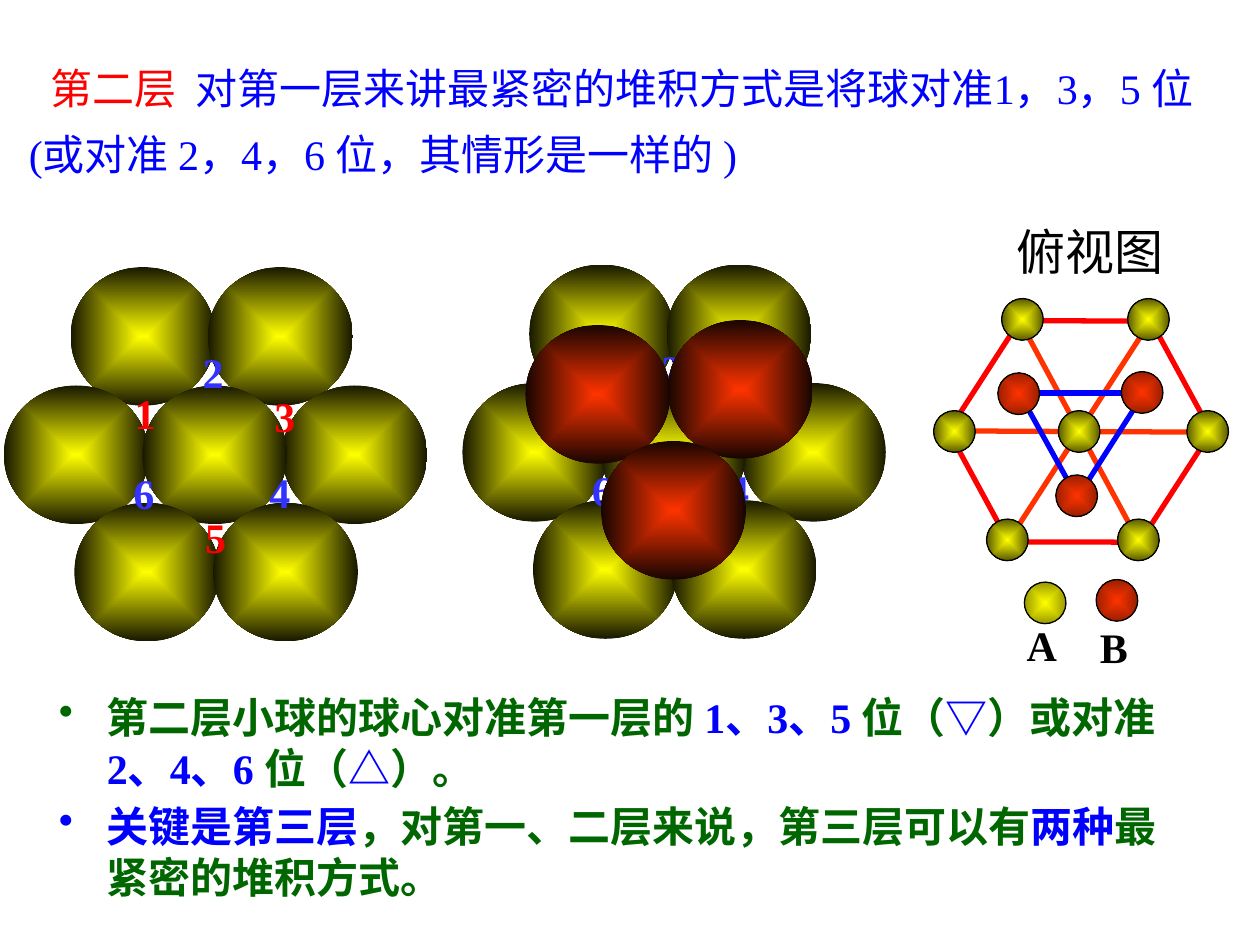
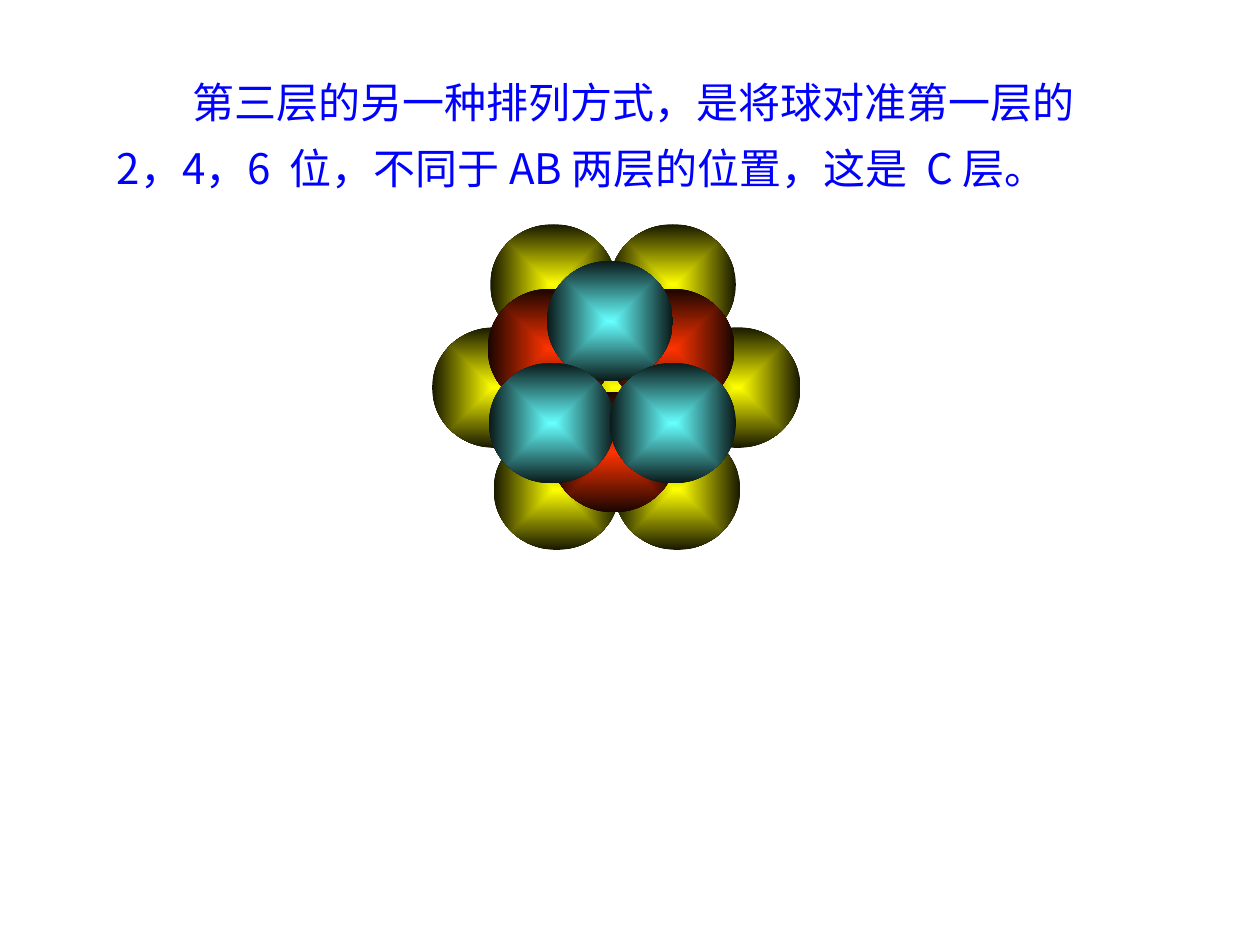
import pptx
import pptx.dml.color
import pptx.enum.shapes
import pptx.enum.text
import pptx.util
from lxml import etree
from pptx.oxml.ns import qn
from pptx.util import Inches

SERIF = "Times New Roman"
SANS = "Noto Sans CJK SC"
RED, BLUE, GREEN, BLACK = "FF0000", "0000FF", "006600", "000000"
DIGIT_BLUE, ORANGE = "3333FF", "FF3300"
LAYER_A = ("FFFF00", "181800")
LAYER_B = (ORANGE, "180500")
LAYER_C = ("66FFFF", "0A1818")
SMALL_A = ("FFFF00", "202000")
KEY_A = ("FFFF00", "767600")
SMALL_B = (ORANGE, "761800")
TILT = 61.5

SPHERE_SIZE = (1.15, 1.1)
SPHERE_OFFSETS = [(0.53, 0), (1.62, 0), (0, 0.94), (2.21, 0.94), (1.1, 0.94),
                  (0.56, 1.87), (1.66, 1.87)]
HOLLOWS = {"1": (0.94, 0.91), "2": (1.48, 0.58), "3": (2.05, 0.93),
           "4": (2.01, 1.53), "5": (1.5, 1.89), "6": (0.93, 1.54)}


def color(value):
    return pptx.dml.color.RGBColor.from_string(value)


class Deck:
    def __init__(self):
        self.presentation = pptx.Presentation()
        self.presentation.slide_width = Inches(10)
        self.presentation.slide_height = Inches(7.5)
        self.slide = None

    def new_slide(self):
        self.slide = self.presentation.slides.add_slide(self.presentation.slide_layouts[6])

    def text(self, left, top, width, height, paragraphs, size=24, font=SERIF, bold=False,
             align=None, wrap=True, spacing=None, bullet=False, first_indent=0):
        box = self.slide.shapes.add_textbox(Inches(left), Inches(top), Inches(width), Inches(height))
        frame = box.text_frame
        frame.word_wrap = wrap
        for index, runs in enumerate(paragraphs):
            paragraph = frame.add_paragraph() if index else frame.paragraphs[0]
            paragraph.alignment = align if index == 0 else None
            paragraph.line_spacing = spacing
            properties = paragraph._p.get_or_add_pPr()
            if bullet:
                properties.set("marL", str(Inches(0.38)))
                properties.set("indent", str(-Inches(0.38)))
                etree.SubElement(properties, qn("a:buChar")).set("char", "•")
                if index:
                    paragraph.space_before = pptx.util.Pt(4.8)
            elif first_indent:
                properties.set("indent", str(Inches(first_indent)))
            for content, run_color in runs:
                run = paragraph.add_run()
                run.text = content
                run.font.size = pptx.util.Pt(size)
                run.font.bold = bold
                run.font.name = font
                run.font.color.rgb = color(run_color)
                etree.SubElement(run._r.get_or_add_rPr(), qn("a:ea")).set("typeface", SANS)
        return box

    def ball(self, left, top, width, height, shades):
        shape = self.slide.shapes.add_shape(
            pptx.enum.shapes.MSO_SHAPE.OVAL, Inches(left), Inches(top), Inches(width), Inches(height))
        shape.shadow.inherit = False
        shape.fill.gradient()
        for stop, shade in zip(shape.fill.gradient_stops, shades):
            stop.color.rgb = color(shade)
        gradient = shape._element.spPr.find(qn("a:gradFill"))
        gradient.remove(gradient.find(qn("a:lin")))
        focus = etree.SubElement(gradient, qn("a:path"))
        focus.set("path", "shape")
        center = etree.SubElement(focus, qn("a:fillToRect"))
        for side in "ltrb":
            center.set(side, "50000")
        shape.line.fill.background()
        return shape

    def small_ball(self, left, top, shades):
        shape = self.ball(left, top, 0.33, 0.33, shades)
        shape.rotation = TILT
        shape.line.color.rgb = color(BLACK)
        shape.line.width = pptx.util.Pt(0.75)

    def hexagon(self, left, top, width, height):
        shape = self.slide.shapes.add_shape(
            pptx.enum.shapes.MSO_SHAPE.HEXAGON, Inches(left), Inches(top), Inches(width), Inches(height))
        shape.shadow.inherit = False
        shape.adjustments[0] = 0.273
        shape.rotation = TILT
        shape.fill.background()
        shape.line.color.rgb = color(RED)
        shape.line.width = pptx.util.Pt(3)

    def line(self, start, end, line_color):
        connector = self.slide.shapes.add_connector(
            pptx.enum.shapes.MSO_CONNECTOR.STRAIGHT, *[Inches(value) for value in start + end])
        connector.line.color.rgb = color(line_color)
        connector.line.width = pptx.util.Pt(3)
        etree.SubElement(connector._element.spPr, qn("a:effectLst"))

    def first_layer(self, left, top, scale=1, digits=""):
        width, height = [scale * side for side in SPHERE_SIZE]
        for across, down in SPHERE_OFFSETS:
            self.ball(left + scale * across, top + scale * down, width, height, LAYER_A)
        for digit in digits:
            across, down = HOLLOWS[digit]
            self.text(left + across, top + down, 0.37, 0.5,
                      [[(digit, RED if digit in "135" else DIGIT_BLUE)]], bold=True)

    def upper_layer(self, places, shades, scale=1):
        width, height = [scale * side for side in SPHERE_SIZE]
        for left, top in places:
            self.ball(left, top, width, height, shades)


def top_view(deck):
    deck.hexagon(7.57, 2.51, 2, 1.83)
    for start, end in [((7.52, 3.42), (9.61, 3.43)), ((9.04, 4.3), (8.09, 2.54)),
                       ((8, 4.3), (9.13, 2.55))]:
        deck.line(start, end, ORANGE)
    for left, top in [(7.41, 3.26), (7.83, 4.12), (7.95, 2.37), (8.95, 2.37),
                      (9.42, 3.26), (8.87, 4.12), (8.4, 3.26)]:
        deck.small_ball(left, top, SMALL_A)
    corners = [(8.09, 3.12), (9.08, 3.12), (8.55, 3.95)]
    for index, corner in enumerate(corners):
        deck.line(corner, corners[index - 1], BLUE)
    for left, top in [(7.92, 2.96), (8.38, 3.77), (8.9, 2.95)]:
        deck.small_ball(left, top, SMALL_B)
    deck.small_ball(8.13, 4.62, KEY_A)
    deck.small_ball(8.7, 4.6, SMALL_B)
    deck.text(8.05, 4.87, 0.45, 0.5, [[("A", BLACK)]], bold=True)
    deck.text(8.63, 4.88, 0.48, 0.5, [[("B", BLACK)]], bold=True)
    label = deck.text(7.96, 1.71, 1.38, 0.57, [[("俯视图", BLACK)]], size=28, font=SANS,
                      align=pptx.enum.text.PP_ALIGN.CENTER, wrap=False)
    label.text_frame.vertical_anchor = pptx.enum.text.MSO_ANCHOR.MIDDLE


def second_layer_slide(deck):
    deck.new_slide()
    deck.text(0.13, 0.33, 9.69, 1.09, [
        [("第二层", RED), ("  对第一层来讲最紧密的堆积方式是将球对准1，3，5 位 ", BLUE)],
        [("(或对准 2，4，6 位，其情形是一样的 )", BLUE)],
    ], align=pptx.enum.text.PP_ALIGN.CENTER, spacing=1.3)
    deck.first_layer(0.03, 2.12, digits="123456")
    deck.first_layer(3.67, 2.1, digits="246")
    deck.upper_layer([(4.17, 2.58), (5.3, 2.54), (4.77, 3.5)], LAYER_B)
    top_view(deck)
    deck.text(0.37, 5.44, 9.17, 1.7, [
        [("第二层小球的球心对准第一层的 ", GREEN), ("1、3、5 ", BLUE), ("位（", GREEN),
         ("▽", BLUE), ("）或对准 ", GREEN), ("2、4、6 ", BLUE), ("位（", GREEN),
         ("△", BLUE), ("）。", GREEN)],
        [("关键是第三层", BLUE), ("，对第一、二层来说，第三层可以有", GREEN),
         ("两种", BLUE), ("最紧密的堆积方式。", GREEN)],
    ], bold=True, bullet=True)


def third_layer_slide(deck):
    scale = 0.87
    deck.new_slide()
    deck.text(0.83, 0.44, 8.19, 1.1, [
        [("第三层的另一种排列方式，是将球对准第一层的  2，4，6  位，不同于 AB 两层的位置，这是  C 层。", BLUE)],
    ], font=SANS, spacing=1.3, first_indent=0.6)
    deck.first_layer(3.43, 1.78, scale)
    deck.upper_layer([(3.87, 2.29), (4.83, 2.29), (4.37, 3.11)], LAYER_B, scale)
    deck.upper_layer([(4.34, 2.07), (3.88, 2.88), (4.84, 2.88)], LAYER_C, scale)


def main():
    deck = Deck()
    second_layer_slide(deck)
    third_layer_slide(deck)
    deck.presentation.save("out.pptx")


if __name__ == "__main__":
    main()
